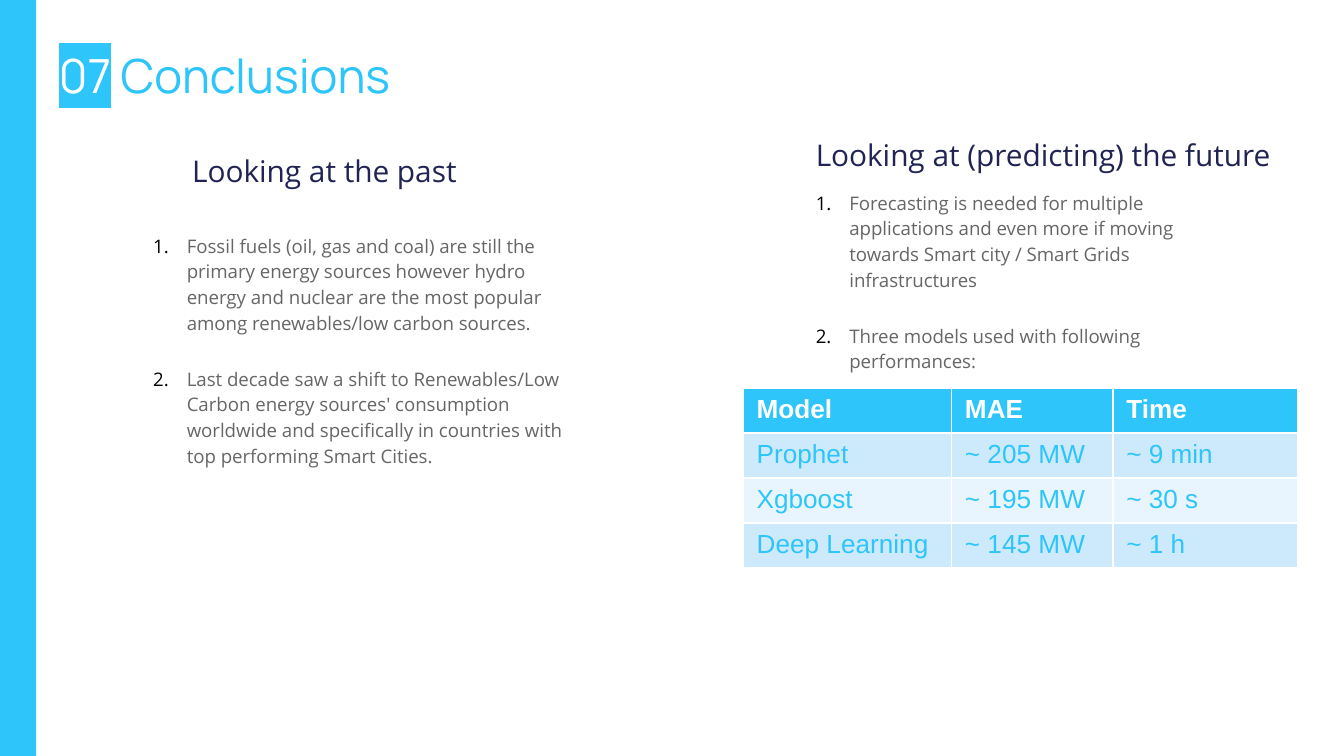
from pptx import Presentation
from pptx.dml.color import RGBColor
from pptx.enum.shapes import MSO_SHAPE as SHAPE
from pptx.enum.text import MSO_ANCHOR as ANCHOR
from pptx.oxml.ns import qn
from pptx.util import Inches, Pt
from lxml.etree import SubElement

SKY = RGBColor(0x2D, 0xC5, 0xFA)
NAVY = RGBColor(0x21, 0x23, 0x53)
GREY = RGBColor(0x66, 0x66, 0x66)
WHITE = RGBColor(0xFF, 0xFF, 0xFF)
BLACK = RGBColor(0, 0, 0)
BANDS = [RGBColor(0xCD, 0xEA, 0xFD), RGBColor(0xE8, 0xF5, 0xFE)]

# Content
NUMBER, TITLE = "07", " Conclusions"
COLUMNS = [
    dict(heading="Looking at the past", head_at=(1.23, 0.86, 2.91), list_at=(0.94, 1.72),
         points=["Fossil fuels (oil, gas and coal) are still the primary energy sources however "
                 "hydro energy and nuclear are the most popular among renewables/low carbon sources.",
                 "Last decade saw a shift to Renewables/Low Carbon energy sources' consumption "
                 "worldwide and specifically in countries with top performing Smart Cities."]),
    dict(heading="Looking at (predicting) the future", head_at=(5.87, 0.74, 4.13),
         list_at=(5.87, 1.4),
         points=["Forecasting is needed for multiple applications and even more if moving "
                 "towards Smart city / Smart Grids infrastructures",
                 "Three models used with following performances:"]),
]
MODELS = [
    ("Model", "MAE", "Time"),
    ("Prophet", "~ 205 MW", "~ 9 min"),
    ("Xgboost", "~ 195 MW", "~ 30 s"),
    ("Deep Learning", "~ 145 MW", "~ 1 h"),
]

# Layout, in inches, on a 16:9 slide
W = 10
H = W * 9 / 16
LIST_W = 3.6
TABLE_X, TABLE_Y, ROW_H = 5.53, 2.89, 0.3
COL_WIDTHS = [1.55, 1.2, 1.38]


def add_color(parent, tag, color):
    el = SubElement(parent, qn(tag))
    SubElement(el, qn("a:srgbClr")).set("val", str(color))
    return el


def add_run(p, text, size=10, font="Open Sans", color=GREY, bold=False, highlight=None):
    r = p.add_run()
    r.text = text
    r.font.size, r.font.name, r.font.bold = Pt(size), font, bold
    r.font.color.rgb = color
    if highlight is not None:
        rpr = r._r.get_or_add_rPr()
        mark = add_color(rpr, "a:highlight", highlight)
        rpr.find(qn("a:solidFill")).addnext(mark)


def add_box(x, y, w, h, insets, anchor=ANCHOR.TOP):
    tf = slide.shapes.add_textbox(Inches(x), Inches(y), Inches(w), Inches(h)).text_frame
    tf.word_wrap = True
    tf.vertical_anchor = anchor
    tf.margin_left, tf.margin_top, tf.margin_right, tf.margin_bottom = map(Inches, insets)
    return tf


def number_paragraph(p):
    ppr = p._p.get_or_add_pPr()
    ppr.set("marL", str(Inches(0.25)))
    ppr.set("indent", str(-Inches(0.25)))
    add_color(ppr, "a:buClr", BLACK)
    SubElement(ppr, qn("a:buAutoNum")).set("type", "arabicPeriod")


prs = Presentation()
prs.slide_width, prs.slide_height = Inches(W), Inches(H)
slide = prs.slides.add_slide(prs.slide_layouts[6])

# Side bar
bar = slide.shapes.add_shape(SHAPE.RECTANGLE, 0, 0, Inches(0.27), Inches(H))
bar.shadow.inherit = False
bar.fill.solid()
bar.fill.fore_color.rgb = SKY
bar.line.fill.background()

# Title
p = add_box(0.34, 0.24, 9.32, 0.63, [0.1] * 4, ANCHOR.MIDDLE).paragraphs[0]
add_run(p, NUMBER, size=25.2, font="Manrope", color=WHITE, highlight=SKY)
add_run(p, TITLE, size=25.2, font="Manrope", color=SKY)

# Headings and numbered lists
for col in COLUMNS:
    x, y, w = col["head_at"]
    p = add_box(x, y, w, 0.64, (0.2, 0.24, 0.2, 0)).paragraphs[0]
    p.line_spacing = 1.15
    add_run(p, col["heading"], size=16, color=NAVY)

    x, y = col["list_at"]
    tf = add_box(x, y, LIST_W, H - y, (0.2, 0, 0.2, 0.2))
    for i, point in enumerate(col["points"]):
        p = tf.add_paragraph() if i else tf.paragraphs[0]
        p.line_spacing, p.space_after = 1.15, Pt(16)
        number_paragraph(p)
        add_run(p, point)

# Model table; the white rules come from the default table style
table = slide.shapes.add_table(len(MODELS), len(COL_WIDTHS), Inches(TABLE_X), Inches(TABLE_Y),
                               Inches(sum(COL_WIDTHS)), Inches(ROW_H * len(MODELS))).table
for column, w in zip(table.columns, COL_WIDTHS):
    column.width = Inches(w)
for i, row in enumerate(MODELS):
    header = i == 0
    for j, text in enumerate(row):
        cell = table.cell(i, j)
        cell.fill.solid()
        cell.fill.fore_color.rgb = SKY if header else BANDS[(i - 1) % 2]
        add_run(cell.text_frame.paragraphs[0], text, size=14, font="Arial",
                color=WHITE if header else SKY, bold=header)

prs.save("out.pptx")
